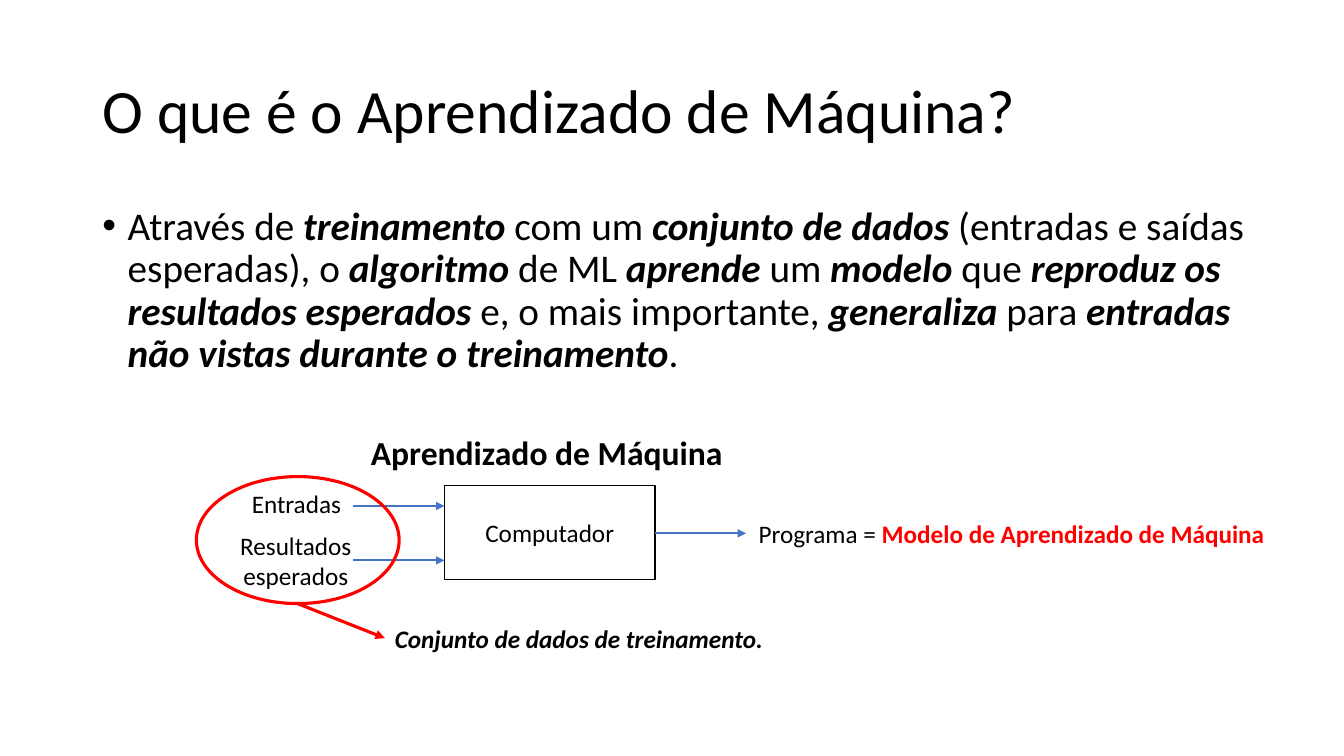
from lxml import etree
from pptx import Presentation
from pptx.dml.color import RGBColor
from pptx.enum.shapes import MSO_CONNECTOR, MSO_SHAPE
from pptx.enum.text import MSO_ANCHOR, MSO_AUTO_SIZE, PP_ALIGN
from pptx.oxml.ns import qn
from pptx.util import Cm, Pt

STRAIGHT = MSO_CONNECTOR.STRAIGHT
RECTANGLE, ELLIPSE = MSO_SHAPE.RECTANGLE, MSO_SHAPE.OVAL
TOP, MIDDLE = MSO_ANCHOR.TOP, MSO_ANCHOR.MIDDLE
LEFT, CENTER = PP_ALIGN.LEFT, PP_ALIGN.CENTER
NO_FIT, GROW = MSO_AUTO_SIZE.NONE, MSO_AUTO_SIZE.SHAPE_TO_FIT_TEXT

FONT = "Calibri"
COLORS = {"text": "000000", "flow": "4472C4", "accent": "FF0000"}
TITLE = "O que é o Aprendizado de Máquina?"
DEFINITION = (
    "Através de *treinamento* com um *conjunto de dados *(entradas e saídas "
    "esperadas), o *algoritmo* de ML *aprende* um *modelo* que *reproduz os "
    "resultados esperados* e, o mais importante, *generaliza* para *entradas "
    "não vistas durante o treinamento*."
)


def color(name):
    return RGBColor.from_string(COLORS[name])


def format_span(span, size, bold=False, italic=False, ink="text"):
    span.font.name = FONT
    span.font.size = Pt(size)
    span.font.bold = bold
    span.font.italic = italic
    span.font.color.rgb = color(ink)


def fill_frame(frame, text, size, align=LEFT, anchor=TOP, fit=GROW, wrap=True,
               bold=False, italic=False, marked=None):
    frame.word_wrap = wrap
    frame.auto_size = fit
    frame.vertical_anchor = anchor
    para = frame.paragraphs[0]
    para.alignment = align
    base = {"bold": bold, "italic": italic}
    for index, part in enumerate(text.split("*")):
        span = para.add_run()
        span.text = part
        format_span(span, size, **(marked if index % 2 else base))
    return para


def add_title(page, text, place):
    title = page.shapes.title
    title.left, title.top, title.width, title.height = map(Cm, place)
    para = fill_frame(title.text_frame, text, 44, anchor=MIDDLE, fit=NO_FIT)
    para.line_spacing = 0.9


def add_label(page, text, place, size=18, **style):
    box = page.shapes.add_textbox(*map(Cm, place))
    return fill_frame(box.text_frame, text, size, **style)


def add_bullet(page, text, place):
    para = add_label(page, text, place, 28, fit=NO_FIT,
                     marked={"bold": True, "italic": True})
    para.line_spacing = 0.9
    para.space_before = Pt(10)
    properties = para._p.get_or_add_pPr()
    indent = Cm(0.64)
    properties.set("marL", str(indent))
    properties.set("indent", str(-indent))
    etree.SubElement(properties, qn("a:buFont"), typeface="Arial")
    etree.SubElement(properties, qn("a:buChar"), char="•")


def add_outline(page, kind, place, ink, width):
    shape = page.shapes.add_shape(kind, *map(Cm, place))
    shape.shadow.inherit = False
    shape.fill.background()
    shape.line.color.rgb = color(ink)
    shape.line.width = Pt(width)
    return shape


def add_arrow(page, start, end, ink="flow", width=1.5):
    arrow = page.shapes.add_connector(STRAIGHT, *map(Cm, start + end))
    arrow.line.color.rgb = color(ink)
    arrow.line.width = Pt(width)
    etree.SubElement(arrow.line._get_or_add_ln(), qn("a:tailEnd"), type="triangle")
    etree.SubElement(arrow._element.spPr, qn("a:effectLst"))


def main():
    deck = Presentation()
    deck.slide_width, deck.slide_height = Cm(33.87), Cm(19.05)
    page = deck.slides.add_slide(deck.slide_layouts[5])

    add_title(page, TITLE, (2.33, 1.02, 29.21, 3.68))
    add_bullet(page, DEFINITION, (2.33, 5.08, 30.4, 12.09))

    computer = add_outline(page, RECTANGLE, (11.2, 12.24, 5.31, 2.36), "text", 1)
    fill_frame(computer.text_frame, "Computador", 18, CENTER, MIDDLE, NO_FIT)
    add_label(page, "Aprendizado de Máquina", (8.89, 10.77, 9.78, 1.27), 24,
              align=CENTER, bold=True)

    for height in (12.75, 14.12):
        add_arrow(page, (8.89, height), (11.2, height))
    add_label(page, "Entradas", (6.02, 12.17, 2.9, 1.02), align=CENTER)
    add_label(page, "Resultados esperados", (5.79, 13.23, 3.33, 1.8), align=CENTER)

    add_arrow(page, (16.51, 13.44), (18.8, 13.44))
    add_label(page, "Programa = *Modelo de Aprendizado de Máquina",
              (18.87, 12.93, 13.87, 1.02), marked={"bold": True, "ink": "accent"})

    add_label(page, "Conjunto de dados de treinamento.", (9.7, 15.57, 9.91, 1.02),
              wrap=False, bold=True, italic=True)
    add_outline(page, ELLIPSE, (4.95, 12.01, 5.11, 3.2), "accent", 2.25)
    add_arrow(page, (7.5, 15.21), (9.7, 16.08), "accent", 2.25)

    deck.save("out.pptx")


main()
